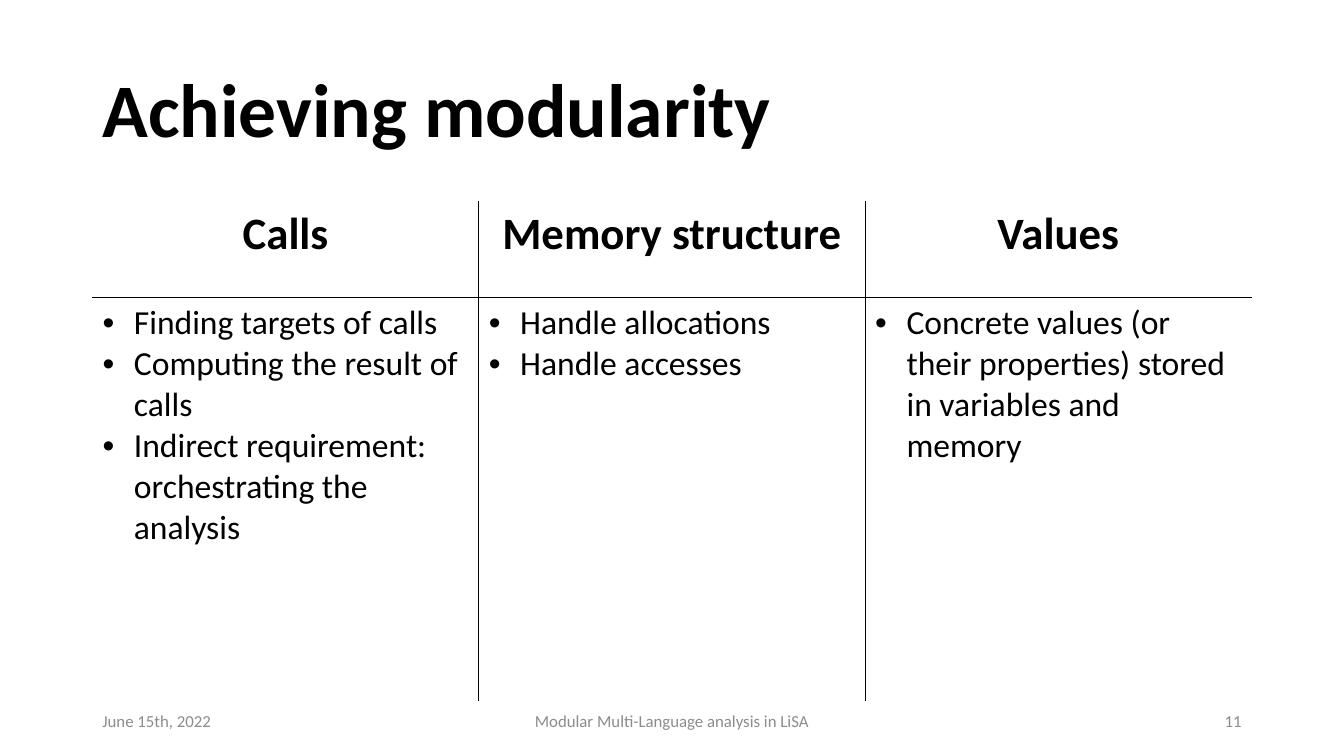
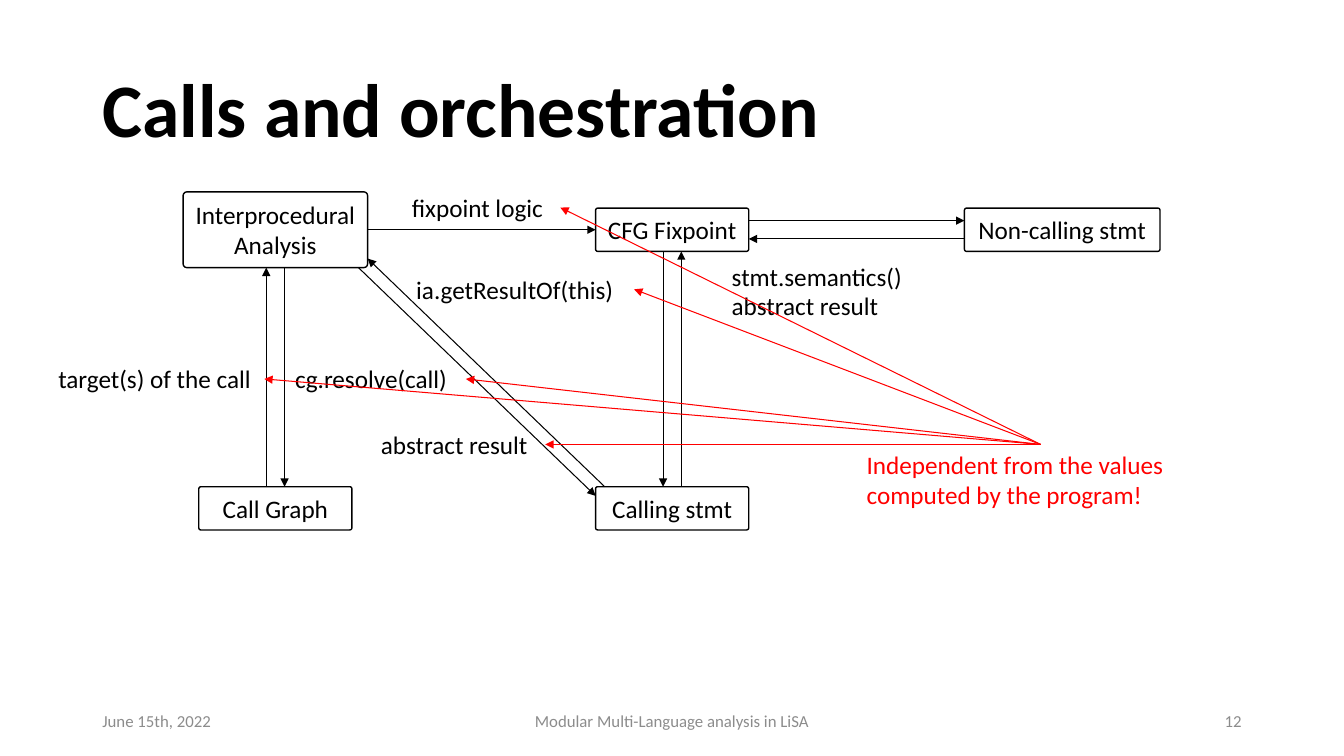
"""Build two slides on modular analysis: a comparison table and a call diagram."""
from collections import namedtuple
from dataclasses import dataclass

from lxml import etree
from pptx import Presentation
from pptx.dml.color import RGBColor
from pptx.enum.shapes import MSO_CONNECTOR, MSO_SHAPE
from pptx.enum.text import MSO_ANCHOR, MSO_AUTO_SIZE, PP_ALIGN
from pptx.oxml.ns import qn
from pptx.util import Cm, Pt

LEFT, CENTER, RIGHT = PP_ALIGN.LEFT, PP_ALIGN.CENTER, PP_ALIGN.RIGHT
TOP, MIDDLE = MSO_ANCHOR.TOP, MSO_ANCHOR.MIDDLE
NO_AUTOFIT = MSO_AUTO_SIZE.NONE
ROUNDED = MSO_SHAPE.ROUNDED_RECTANGLE
STRAIGHT = MSO_CONNECTOR.STRAIGHT
TITLE_ONLY = 5


@dataclass(frozen=True)
class Theme:
    font: str = "Calibri"
    ink: RGBColor = RGBColor(0x00, 0x00, 0x00)
    paper: RGBColor = RGBColor(0xFF, 0xFF, 0xFF)
    accent: RGBColor = RGBColor(0xFF, 0x00, 0x00)
    muted: RGBColor = RGBColor(0x8C, 0x8C, 0x8C)
    title: int = 54
    heading: int = 32
    bullet: int = 24
    diagram: int = 18
    footer: int = 12
    border: float = 1
    arrow: float = 0.75


THEME = Theme()
Area = namedtuple("Area", "left top width height")

SLIDE_SIZE = (33.87, 19.05)
TITLE_AREA = Area(2.33, 1.02, 29.21, 3.68)
TABLE_AREA = Area(2.33, 5.08, 29.21, 12.6)
HEADING_HEIGHT = 2.41
BULLET_INDENT = 0.79

FOOTER_TOP, FOOTER_HEIGHT = 17.65, 1.02
DATE = "June 15th, 2022"
TALK = "Modular Multi-Language analysis in LiSA"
FIRST_NUMBER = 11

MODULES = {
    "Calls": [
        "Finding targets of calls",
        "Computing the result of calls",
        "Indirect requirement: orchestrating the analysis",
    ],
    "Memory structure": ["Handle allocations", "Handle accesses"],
    "Values": ["Concrete values (or their properties) stored in variables and memory"],
}

COLUMN_CENTERS = (6.94, 16.94, 26.77)
ROW_CENTERS = (5.79, 12.81)
COMPONENTS = {
    "interprocedural": ("Interprocedural\nAnalysis", 0, 0, 4.65, 1.91),
    "fixpoint": ("CFG Fixpoint", 1, 0, 3.86, 1.09),
    "non_calling": ("Non-calling stmt", 2, 0, 4.93, 1.09),
    "call_graph": ("Call Graph", 0, 1, 3.86, 1.09),
    "calling": ("Calling stmt", 1, 1, 3.86, 1.09),
}
PAIR_OFFSET = 0.23

LABEL_HEIGHT = 1.02
INDEPENDENT_LABELS = [
    ("fixpoint logic", 10.13, 4.72, 3.99),
    ("ia.getResultOf(this)", 10.24, 6.78, 5.74),
    ("cg.resolve(call)", 7.19, 9.04, 4.55),
    ("target(s) of the call", 1.22, 9.04, 5.44),
    ("abstract result", 9.35, 10.69, 4.39),
]
VALUE_LABELS = [
    ("stmt.semantics()", 18.19, 6.45, 4.85),
    ("abstract result", 18.19, 7.19, 4.34),
]
NOTE = "Independent from the values computed by the program!"
NOTE_AREA = Area(21.59, 11.2, 9.27, 1.8)


def in_cm(values):
    return [Cm(value) for value in values]


def write(frame, text, size, color=THEME.ink, align=LEFT, bold=False):
    frame.text = text
    for paragraph in frame.paragraphs:
        paragraph.alignment = align
        for run in paragraph.runs:
            run.font.name = THEME.font
            run.font.size = Pt(size)
            run.font.bold = bold
            run.font.color.rgb = color


def add_text(slide, area, text, size, color=THEME.ink, align=LEFT, anchor=TOP):
    frame = slide.shapes.add_textbox(*in_cm(area)).text_frame
    frame.word_wrap = True
    frame.vertical_anchor = anchor
    write(frame, text, size, color, align)


def add_titled_slide(prs, title):
    slide = prs.slides.add_slide(prs.slide_layouts[TITLE_ONLY])
    heading = slide.shapes.title
    heading.left, heading.top, heading.width, heading.height = in_cm(TITLE_AREA)
    frame = heading.text_frame
    write(frame, title, THEME.title, bold=True)
    frame.auto_size = NO_AUTOFIT
    frame.vertical_anchor = MIDDLE
    frame.paragraphs[0].line_spacing = 0.9

    number = str(FIRST_NUMBER + len(prs.slides) - 1)
    for text, left, width, align in (
        (DATE, 2.33, 7.62, LEFT),
        (TALK, 11.22, 11.43, CENTER),
        (number, 23.92, 7.62, RIGHT),
    ):
        area = Area(left, FOOTER_TOP, width, FOOTER_HEIGHT)
        add_text(slide, area, text, THEME.footer, THEME.muted, align, MIDDLE)
    return slide


def add_bullet(paragraph):
    properties = paragraph._p.get_or_add_pPr()
    indent = Cm(BULLET_INDENT)
    properties.set("marL", str(indent))
    properties.set("indent", str(-indent))
    etree.SubElement(properties, qn("a:buFont"), typeface="Arial")
    etree.SubElement(properties, qn("a:buChar"), char="•")


def set_borders(cell, edges):
    properties = cell._tc.get_or_add_tcPr()
    for position, edge in enumerate(edges):
        line = etree.Element(qn(f"a:ln{edge}"), w=str(Pt(THEME.border)))
        fill = etree.SubElement(line, qn("a:solidFill"))
        etree.SubElement(fill, qn("a:srgbClr"), val=str(THEME.ink))
        properties.insert(position, line)


def add_module_table(slide):
    count = len(MODULES)
    table = slide.shapes.add_table(2, count, *in_cm(TABLE_AREA)).table
    table.first_row = table.horz_banding = False
    table.rows[0].height = Cm(HEADING_HEIGHT)
    table.rows[1].height = Cm(TABLE_AREA.height - HEADING_HEIGHT)
    for index, (module, duties) in enumerate(MODULES.items()):
        table.columns[index].width = Cm(TABLE_AREA.width / count)
        sides = ("L" if index else "") + ("R" if index < count - 1 else "")
        heading, body = table.cell(0, index), table.cell(1, index)
        write(heading.text_frame, module, THEME.heading, align=CENTER, bold=True)
        write(body.text_frame, "\n".join(duties), THEME.bullet)
        for paragraph in body.text_frame.paragraphs:
            add_bullet(paragraph)
        for cell, inner_edge in ((heading, "B"), (body, "T")):
            cell.fill.solid()
            cell.fill.fore_color.rgb = THEME.paper
            set_borders(cell, sides + inner_edge)


def add_component(slide, area, text):
    box = slide.shapes.add_shape(ROUNDED, *in_cm(area))
    box.shadow.inherit = False
    box.adjustments[0] = 0.05
    box.fill.solid()
    box.fill.fore_color.rgb = THEME.paper
    box.line.color.rgb = THEME.ink
    box.line.width = Pt(THEME.border)
    box.text_frame.vertical_anchor = MIDDLE
    write(box.text_frame, text, THEME.diagram, align=CENTER)


def add_arrow(slide, start, end, color=THEME.ink):
    arrow = slide.shapes.add_connector(STRAIGHT, *in_cm(start + end))
    arrow.line.color.rgb = color
    arrow.line.width = Pt(THEME.arrow)
    etree.SubElement(arrow.line._get_or_add_ln(), qn("a:tailEnd"), type="triangle")
    etree.SubElement(arrow._element.spPr, qn("a:effectLst"))


def component_area(column, row, width, height):
    left = COLUMN_CENTERS[column] - width / 2
    top = ROW_CENTERS[row] - height / 2
    return Area(left, top, width, height)


def right_of(area):
    return area.left + area.width


def bottom_of(area):
    return area.top + area.height


def component_arrows(areas):
    interprocedural, fixpoint = areas["interprocedural"], areas["fixpoint"]
    calling, non_calling = areas["calling"], areas["non_calling"]
    gap = PAIR_OFFSET
    row = ROW_CENTERS[0]
    arrows = [
        ((right_of(interprocedural), row), (fixpoint.left, row)),
        ((right_of(fixpoint), row - gap), (non_calling.left, row - gap)),
        ((non_calling.left, row + gap), (right_of(fixpoint), row + gap)),
    ]
    for column, upper, lower, down in (
        (0, interprocedural, areas["call_graph"], gap),
        (1, fixpoint, calling, -gap),
    ):
        center = COLUMN_CENTERS[column]
        arrows += [
            ((center + down, bottom_of(upper)), (center + down, lower.top)),
            ((center - down, lower.top), (center - down, bottom_of(upper))),
        ]
    corner_x, corner_y = right_of(interprocedural), bottom_of(interprocedural)
    arrows += [
        ((calling.left + gap, calling.top), (corner_x, corner_y - gap)),
        ((corner_x - gap, corner_y), (calling.left, calling.top + gap)),
    ]
    return arrows


def add_call_diagram(slide):
    areas = {key: component_area(*place) for key, (_, *place) in COMPONENTS.items()}
    for key, area in areas.items():
        add_component(slide, area, COMPONENTS[key][0])
    for start, end in component_arrows(areas):
        add_arrow(slide, start, end)
    for text, left, top, width in VALUE_LABELS + INDEPENDENT_LABELS:
        add_text(slide, Area(left, top, width, LABEL_HEIGHT), text, THEME.diagram)
    add_text(slide, NOTE_AREA, NOTE, THEME.diagram, THEME.accent)
    note_top = (NOTE_AREA.left + NOTE_AREA.width / 2, NOTE_AREA.top)
    for _, left, top, width in INDEPENDENT_LABELS:
        label_end = (left + width, top + LABEL_HEIGHT / 2)
        add_arrow(slide, note_top, label_end, THEME.accent)


def main():
    prs = Presentation()
    prs.slide_width, prs.slide_height = in_cm(SLIDE_SIZE)
    add_module_table(add_titled_slide(prs, "Achieving modularity"))
    add_call_diagram(add_titled_slide(prs, "Calls and orchestration"))
    prs.save("out.pptx")


if __name__ == "__main__":
    main()
